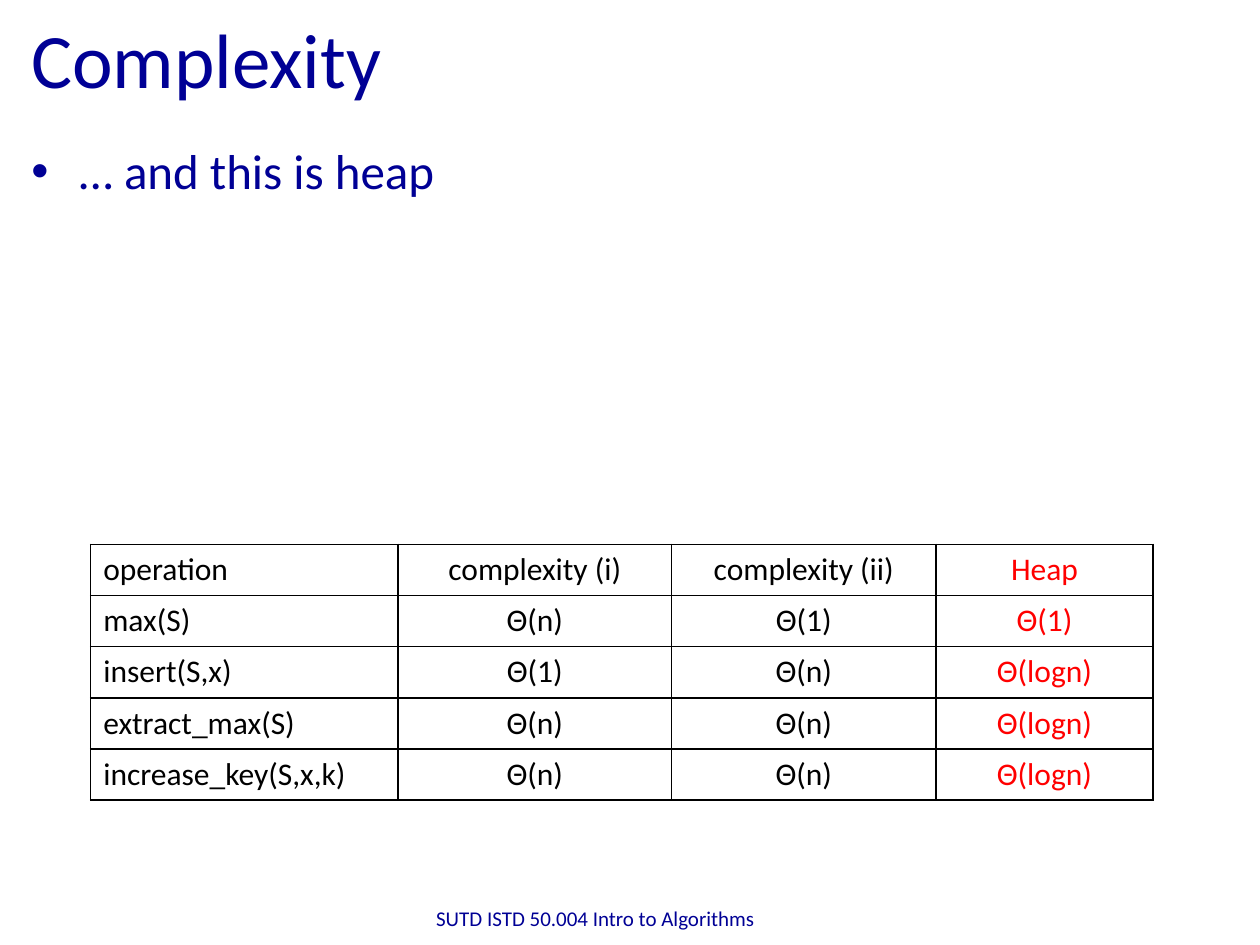
import pptx
import pptx.dml.color
import pptx.enum.text
import pptx.oxml.ns
import pptx.util
import lxml.etree

Inches = pptx.util.Inches
Align = pptx.enum.text.PP_ALIGN
Anchor = pptx.enum.text.MSO_ANCHOR
COLORS = {"navy": "000095", "black": "000000", "red": "FF0000"}


def add_span(para, text, size, color):
    span = para.add_run()
    span.text = text
    span.font.name = "Calibri"
    span.font.size = pptx.util.Pt(size)
    span.font.bold = False
    span.font.color.rgb = pptx.dml.color.RGBColor.from_string(COLORS[color])


def add_element(parent, tag, **attributes):
    return lxml.etree.SubElement(parent, pptx.oxml.ns.qn(tag), attributes)


deck = pptx.Presentation()
deck.slide_width = Inches(10)
deck.slide_height = Inches(7.5)
page = deck.slides.add_slide(deck.slide_layouts[6])

# Title, bullet and footer
texts = [
    ("Complexity", 44, (0.15, 0.03, 9, 0.85), Anchor.MIDDLE, Align.LEFT),
    ("… and this is heap", 28, (0.15, 1.07, 9.85, 5.77), Anchor.TOP, Align.LEFT),
    ("SUTD ISTD 50.004 Intro to Algorithms ", 12, (3.16, 7.09, 3.17, 0.4),
     Anchor.MIDDLE, Align.CENTER),
]
for text, size, place, anchor, align in texts:
    box = page.shapes.add_textbox(*[Inches(length) for length in place])
    box.text_frame.word_wrap = True
    box.text_frame.vertical_anchor = anchor
    para = box.text_frame.paragraphs[0]
    para.alignment = align
    if text.startswith("…"):
        settings = para._p.get_or_add_pPr()
        settings.set("marL", str(Inches(0.38)))
        settings.set("indent", str(-Inches(0.38)))
        add_element(settings, "a:buFont", typeface="Arial")
        add_element(settings, "a:buChar", char="•")
    add_span(para, text, size, "navy")

# Complexity table
rows = [
    ("operation", "complexity (i)", "complexity (ii)", "Heap"),
    ("max(S)", "Θ(n)", "Θ(1)", "Θ(1)"),
    ("insert(S,x)", "Θ(1)", "Θ(n)", "Θ(logn)"),
    ("extract_max(S)", "Θ(n)", "Θ(n)", "Θ(logn)"),
    ("increase_key(S,x,k)", "Θ(n)", "Θ(n)", "Θ(logn)"),
]
widths = [2.44, 2.17, 2.1, 1.72]
table = page.shapes.add_table(
    len(rows), len(widths), Inches(0.72), Inches(4.32), Inches(sum(widths)), Inches(2.03)
).table
table.first_row = False
table.horz_banding = False
for column, width in zip(table.columns, widths):
    column.width = Inches(width)

for row_index, row in enumerate(rows):
    for column_index, text in enumerate(row):
        cell = table.cell(row_index, column_index)
        para = cell.text_frame.paragraphs[0]
        para.alignment = Align.LEFT if column_index == 0 else Align.CENTER
        add_span(para, text, 18, "red" if column_index == 3 else "black")
        # Thin black borders, no fill
        settings = cell._tc.get_or_add_tcPr()
        for side in ("a:lnL", "a:lnR", "a:lnT", "a:lnB"):
            line = add_element(settings, side, w=str(pptx.util.Pt(1)))
            fill = add_element(line, "a:solidFill")
            add_element(fill, "a:srgbClr", val=COLORS["black"])
        cell.fill.background()

deck.save("out.pptx")
